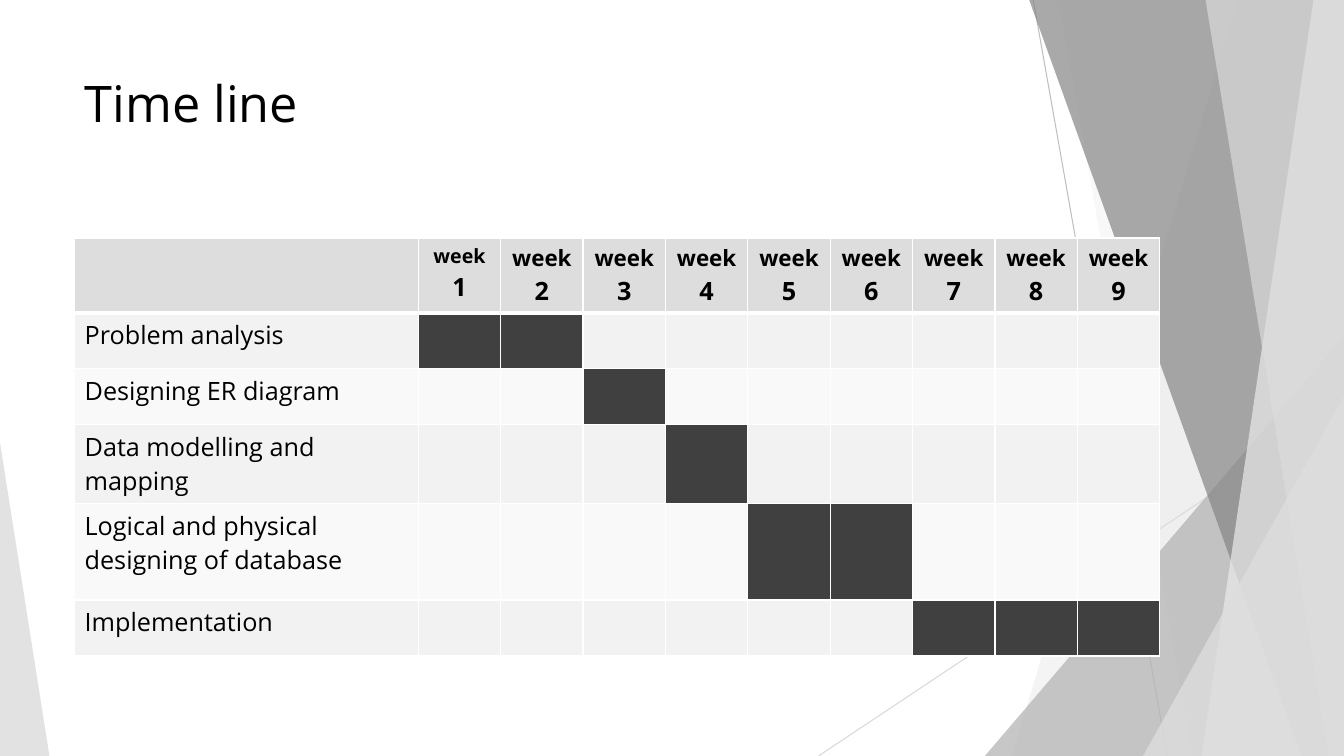
from dataclasses import dataclass

from lxml.etree import SubElement as Sub
from pptx import Presentation
from pptx.dml.color import RGBColor as Rgb
from pptx.enum.shapes import MSO_CONNECTOR as Conn, MSO_SHAPE as Kind
from pptx.enum.text import MSO_ANCHOR as Anchor, PP_ALIGN as Align
from pptx.oxml.ns import qn
from pptx.util import Inches, Pt


@dataclass(frozen=True)
class Theme:
    """Colours, font and type sizes."""
    font: str = "Open Sans"
    ink: str = "000000"
    edge: str = "FFFFFF"
    head: str = "DDDDDD"
    bands: tuple = ("F2F2F2", "F9F9F9")
    bar: str = "404040"
    rules: tuple = ("BFBFBF", "D9D9D9")
    pale: str = "EBEBEB"
    mid: str = "B2B2B2"
    dark: str = "858585"
    title: int = 36
    body: int = 18
    week: int = 16
    small: int = 14


def put(item, form):
    """Set each attribute of item from the dict form."""
    for key, val in form.items():
        setattr(item, key, val)


class Deck:
    """Holds the style and the current slide; lengths are percent of its size."""

    def __init__(self, theme):
        """Start a deck with one title-only slide."""
        self.theme = theme
        self.prs = Presentation()
        put(self.prs, {"slide_width": Inches(13.33), "slide_height": Inches(7.5)})
        self.slide = self.prs.slides.add_slide(self.prs.slide_layouts[5])
        self.shapes = self.slide.shapes

    def x(self, share):
        """Turn a share of the width into a length."""
        return round(self.prs.slide_width * share / 100)

    def y(self, share):
        """Turn a share of the height into a length."""
        return round(self.prs.slide_height * share / 100)

    def box(self, left, top, wide, high):
        """Turn four shares into a place and size."""
        return self.x(left), self.y(top), self.x(wide), self.y(high)

    def paint(self, shape, tint, alpha):
        """Give a shape a see-through fill and no line."""
        shape.shadow.inherit = False
        shape.line.fill.background()
        shape.fill.solid()
        shape.fill.fore_color.rgb = Rgb.from_string(tint)
        clr = shape.element.spPr.find(qn("a:solidFill"))[0]
        Sub(clr, qn("a:alpha"), val=str(alpha * 1000))

    def line(self, start, end, tint):
        """Draw a thin straight line."""
        (ax, ay), (bx, by) = start, end
        rule = self.shapes.add_connector(
            Conn.STRAIGHT, self.x(ax), self.y(ay), self.x(bx), self.y(by))
        rule.line.color.rgb = Rgb.from_string(tint)
        rule.line.width = Pt(0.75)
        Sub(rule.element.spPr, qn("a:effectLst"))

    def shard(self, top, base, tint, alpha):
        """Fill from a slanted edge to the right side of the slide."""
        pen = self.shapes.build_freeform(self.x(top), 0)
        pen.add_line_segments([(self.x(a), self.y(b)) for a, b in
                               ((100, 0), (100, 100), (base, 100))])
        self.paint(pen.convert_to_shape(), tint, alpha)

    def wedge(self, left, top, wide, peak, tint, alpha):
        """Draw a triangle that stands on the bottom edge."""
        shape = self.shapes.add_shape(
            Kind.ISOSCELES_TRIANGLE, *self.box(left, top, wide, 100 - top))
        shape.adjustments[0] = peak
        self.paint(shape, tint, alpha)

    def text(self, para, words, size, bold=False, align=Align.LEFT):
        """Fill one styled paragraph."""
        para.alignment = align
        run = para.add_run()
        run.text = words
        put(run.font, {"name": self.theme.font, "size": Pt(size), "bold": bold})
        run.font.color.rgb = Rgb.from_string(self.theme.ink)

    def title(self, words, *place):
        """Place and fill the title above the backdrop."""
        head = self.shapes.title
        put(head, dict(zip(("left", "top", "width", "height"), self.box(*place))))
        put(head.text_frame, {"vertical_anchor": Anchor.TOP, "word_wrap": True})
        self.text(head.text_frame.paragraphs[0], words, self.theme.title)
        self.shapes.element.append(head.element)

    def cell(self, cell, tint, row):
        """Edge and fill a table cell, with a thick rule under the header."""
        props = cell._tc.get_or_add_tcPr()
        for side in "LRTB":
            thick = (row, side) in ((0, "B"), (1, "T"))
            edge = Sub(props, qn("a:ln" + side), w=str(Pt(3 if thick else 1)))
            Sub(Sub(edge, qn("a:solidFill")), qn("a:srgbClr"), val=self.theme.edge)
        cell.fill.solid()
        cell.fill.fore_color.rgb = Rgb.from_string(tint)

    def gantt(self, left, top, cols, rows, tasks):
        """Build the week table; each task is (name, first week, last week)."""
        look = self.theme
        grid = self.shapes.add_table(
            len(rows), len(cols), *self.box(left, top, sum(cols), sum(rows))).table
        put(grid, {"first_row": True, "horz_banding": False})
        for col, wide in zip(grid.columns, cols):
            col.width = self.x(wide)
        for row, high in zip(grid.rows, rows):
            row.height = self.y(high)
        for num in range(len(cols)):
            cell = grid.cell(0, num)
            self.cell(cell, look.head, 0)
            if num:
                size = look.small if num == 1 else look.week
                frame = cell.text_frame
                self.text(frame.paragraphs[0], "week", size, True, Align.CENTER)
                self.text(frame.add_paragraph(), str(num), look.body, True,
                          Align.CENTER)
        for row, (name, first, last) in enumerate(tasks, 1):
            band = look.bands[(row - 1) % 2]
            for num in range(len(cols)):
                tint = look.bar if first <= num <= last else band
                self.cell(grid.cell(row, num), tint, row)
            self.text(grid.cell(row, 0).text_frame.paragraphs[0], name, look.body)


TASKS = (
    ("Problem analysis", 1, 2),
    ("Designing ER diagram", 3, 3),
    ("Data modelling and mapping", 4, 4),
    ("Logical and physical designing of database", 5, 6),
    ("Implementation", 7, 9),
)


def main():
    """Build the slide and save it."""
    look = Theme()
    deck = Deck(look)
    deck.line((76.88, 0), (86.85, 100), look.rules[0])
    deck.line((100, 53.73), (60.9, 100), look.rules[1])
    deck.shard(92.1, 75.3, look.head, 30)
    deck.shard(78.75, 88.73, look.head, 20)
    deck.wedge(73.28, 44.4, 26.72, 1, look.mid, 72)
    deck.shard(76.58, 96.83, look.dark, 70)
    deck.shard(97.73, 89.4, look.pale, 70)
    deck.shard(89.7, 98.85, look.head, 65)
    deck.wedge(85.05, 52.4, 14.95, 1, look.head, 80)
    deck.wedge(0, 58.53, 3.68, 0, look.head, 85)
    deck.title("Time line", 5.55, 8.93, 70.5, 19.2)
    deck.gantt(5.55, 31.47, [25.58] + [6.13] * 9,
               [9.87] + [7.4] * 3 + [12.8, 7.4], TASKS)
    deck.prs.save("out.pptx")


main()
